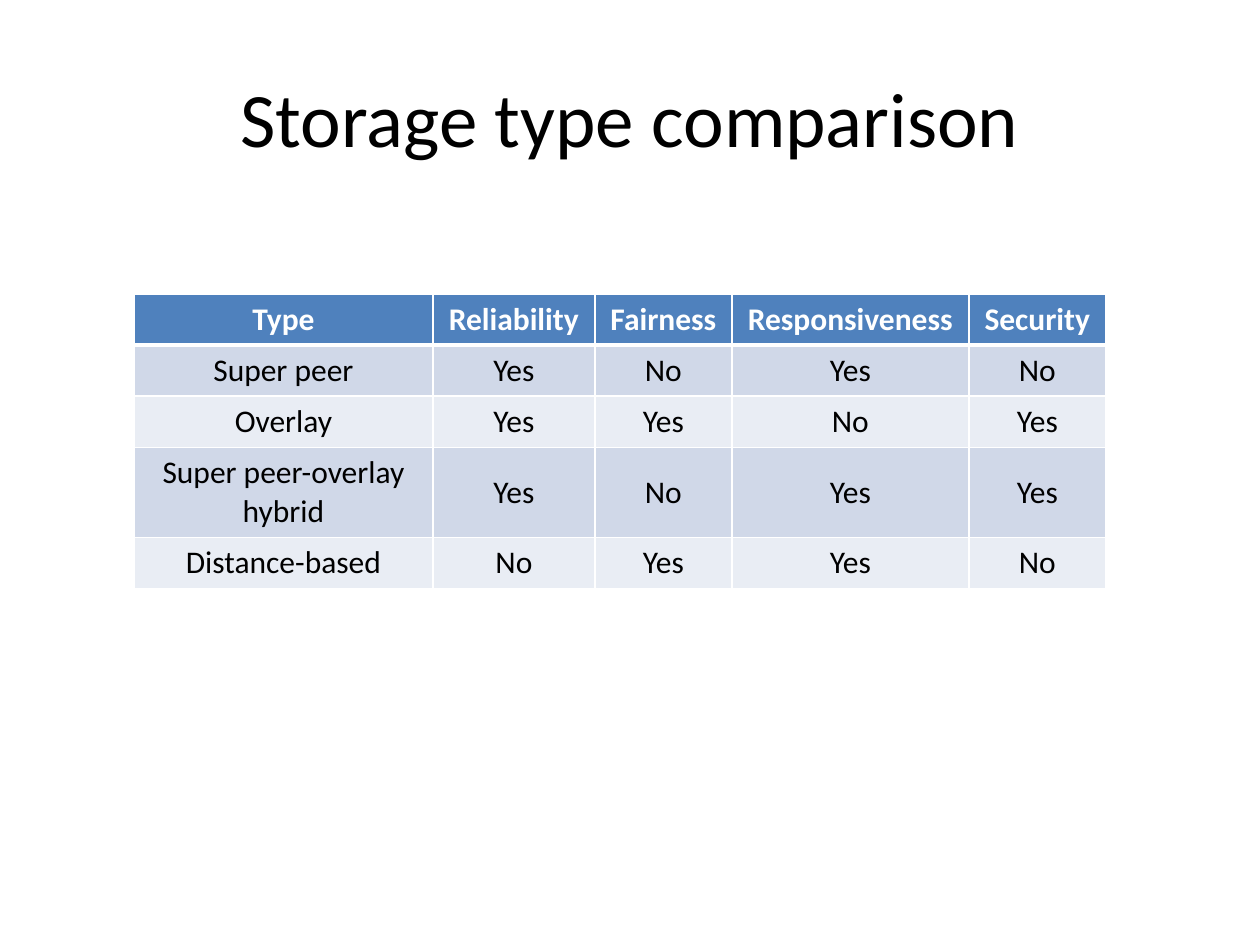
from dataclasses import dataclass

from lxml.etree import SubElement
from pptx import Presentation
from pptx.dml.color import RGBColor
from pptx.enum.text import MSO_ANCHOR, PP_ALIGN
from pptx.oxml.ns import qn
from pptx.util import Pt

SCALE = 914400 // 126


@dataclass(frozen=True)
class Theme:
    """Colours, font and type sizes of the slide."""
    font: str = "Calibri"
    ink: str = "000000"
    white: str = "FFFFFF"
    head: str = "4F81BD"
    bands: tuple = ("D0D8E8", "E9EDF4")
    title: int = 44
    body: int = 18


THEME = Theme()
WIDTHS = (299, 162, 137, 237, 137)
HEIGHTS = (51, 51, 51, 90, 51)
ROWS = (
    ("Type", "Reliability", "Fairness", "Responsiveness", "Security"),
    ("Super peer", "Yes", "No", "Yes", "No"),
    ("Overlay", "Yes", "Yes", "No", "Yes"),
    ("Super peer-overlay hybrid", "Yes", "No", "Yes", "Yes"),
    ("Distance-based", "No", "Yes", "Yes", "No"),
)


def px(count):
    """Turn picture pixels into EMU."""
    return count * SCALE


def write(frame, text, size=THEME.body, color=THEME.ink, bold=False):
    """Put centred, formatted text into a text frame."""
    para = frame.paragraphs[0]
    para.alignment = PP_ALIGN.CENTER
    run = para.add_run()
    run.text = text
    font = run.font
    font.name, font.size, font.bold = THEME.font, Pt(size), bold
    font.color.rgb = RGBColor.from_string(color)


def edge(cell, side, width):
    """Draw a white border on one side (L, R, T or B) of a cell."""
    line = SubElement(cell._tc.get_or_add_tcPr(), qn(f"a:ln{side}"),
                      w=str(Pt(width)))
    fill = SubElement(line, qn("a:solidFill"))
    SubElement(fill, qn("a:srgbClr"), val=THEME.white)


def add_title(slide, text):
    """Place and fill the title placeholder."""
    title = slide.shapes.title
    title.left, title.top = px(63), px(38)
    title.width, title.height = px(1134), px(157)
    title.text_frame.vertical_anchor = MSO_ANCHOR.MIDDLE
    write(title.text_frame, text, size=THEME.title)


def style_cell(cell, text, row):
    """Fill, border and label a cell according to its row."""
    head = row == 0
    cell.vertical_anchor = MSO_ANCHOR.MIDDLE
    for side in "LRTB":
        heavy = (row, side) in ((0, "B"), (1, "T"))
        edge(cell, side, 3 if heavy else 1)
    cell.fill.solid()
    fill = THEME.head if head else THEME.bands[(row - 1) % 2]
    cell.fill.fore_color.rgb = RGBColor.from_string(fill)
    write(cell.text_frame, text, bold=head,
          color=THEME.white if head else THEME.ink)


def add_grid(slide, rows):
    """Add the comparison table."""
    table = slide.shapes.add_table(
        len(rows), len(WIDTHS), px(134), px(294),
        px(sum(WIDTHS)), px(sum(HEIGHTS))).table
    for col, width in zip(table.columns, WIDTHS):
        col.width = px(width)
    for line, height in zip(table.rows, HEIGHTS):
        line.height = px(height)
    for row, texts in enumerate(rows):
        for col, text in enumerate(texts):
            style_cell(table.cell(row, col), text, row)


def main():
    """Build and save the slide."""
    deck = Presentation()
    deck.slide_width, deck.slide_height = px(1260), px(945)
    slide = deck.slides.add_slide(deck.slide_layouts[5])
    add_title(slide, "Storage type comparison")
    add_grid(slide, ROWS)
    deck.save("out.pptx")


main()
